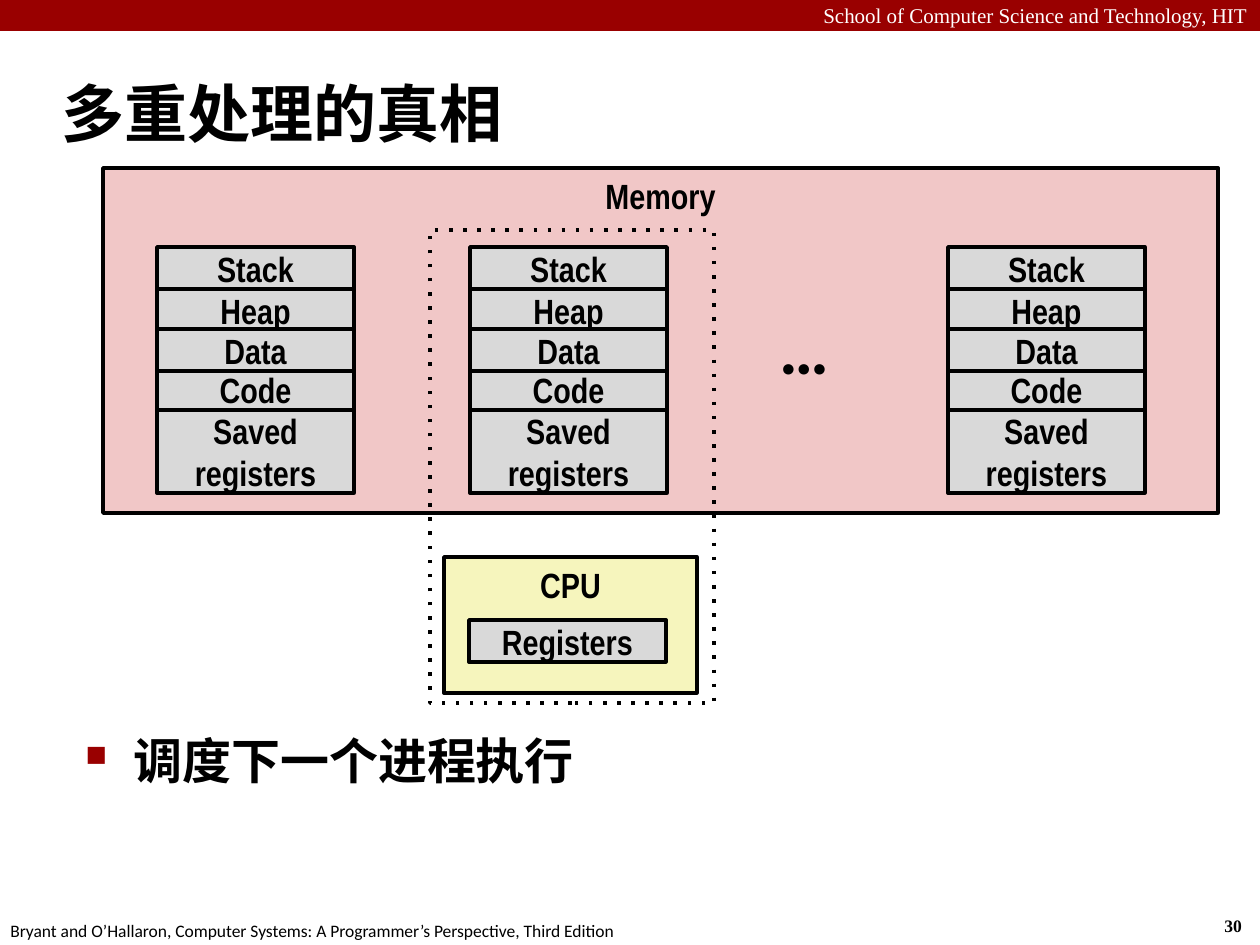
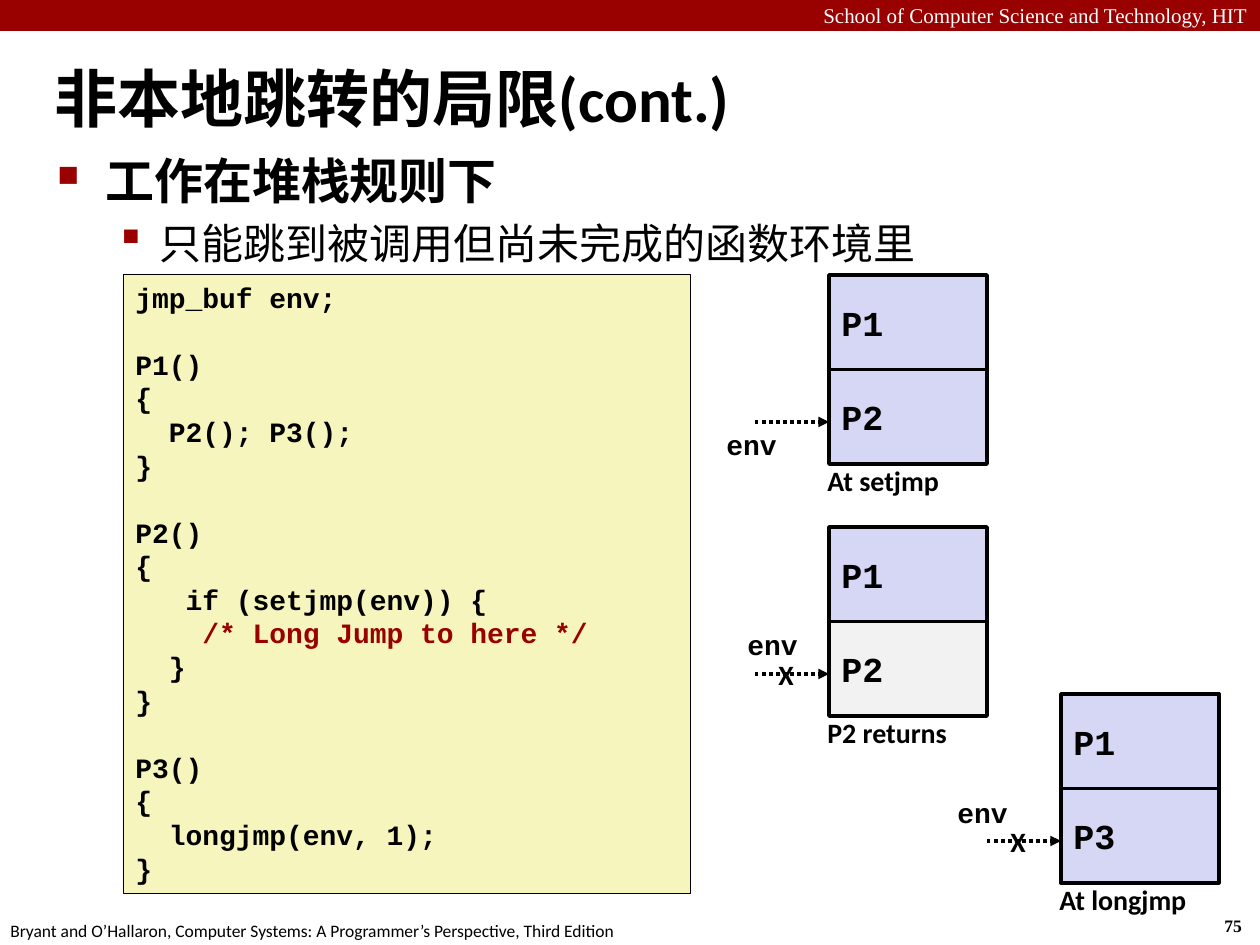
from lxml import etree
from pptx import Presentation
from pptx.dml.color import RGBColor
from pptx.enum.lang import MSO_LANGUAGE_ID as Lang
from pptx.enum.shapes import MSO_CONNECTOR, MSO_SHAPE
from pptx.enum.text import MSO_ANCHOR as Anchor, MSO_AUTO_SIZE, PP_ALIGN as Align
from pptx.oxml.ns import qn
from pptx.util import Pt

PX = 914400 / 126
WIDTH, HEIGHT = 1260, 945

BLACK = RGBColor(0, 0, 0)
WHITE = RGBColor(255, 255, 255)
CRIMSON = RGBColor(0x99, 0, 0)
YELLOW = RGBColor(0xF6, 0xF5, 0xBD)
PINK = RGBColor(0xF1, 0xC7, 0xC7)
GRAY = RGBColor(0xD9, 0xD9, 0xD9)
PALE_GRAY = RGBColor(0xF2, 0xF2, 0xF2)
LAVENDER = RGBColor(0xD6, 0xD6, 0xF5)

SERIF, SANS, NARROW, MONO = "Times New Roman", "Calibri", "Arial Narrow", "Courier New"

SCHOOL = "School of Computer Science and Technology, HIT"
BOOK = "Bryant and O’Hallaron, Computer Systems: A Programmer’s Perspective, Third Edition"

MULTIPROCESSING = {
    "title": "多重处理的真相", "title_box": (49, 60, 1169, 105), "page": "30",
    "points": [("调度下一个进程执行", 0)], "points_box": (73, 724, 1176, 73),
}
PROCESS_LEFTS = (157, 470, 948)
# label, top, height; Data overlaps the upper edge of Code
SEGMENTS = [
    ("Stack", 247, 42), ("Heap", 289, 42), ("Code", 368, 42),
    ("Data", 329, 42), ("Saved registers", 410, 83),
]

LONG_JUMPS = {
    "title": "非本地跳转的局限(cont.)", "title_box": (42, 58, 1094, 79), "page": "75",
    "points": [("工作在堆栈规则下", 0), ("只能跳到被调用但尚未完成的函数环境里", 1)],
    "points_box": (45, 144, 1145, 160),
}
CODE = """jmp_buf env;

P1()
{
  P2(); P3();
}

P2()
{
   if (setjmp(env)) {
    /* Long Jump to here */
  }
}

P3()
{
  longjmp(env, 1);
}"""
# caption, left, top, callee, callee fill, env label offset, env is invalid
STACKS = [
    ("At setjmp", 829, 275, "P2", LAVENDER, (-115, 146), False),
    ("P2 returns", 829, 527, "P2", PALE_GRAY, (-94, 94), True),
    ("At longjmp", 1061, 694, "P3", LAVENDER, (-116, 95), True),
]
FRAME_W, FRAME_H = 158, 94.5

# level: size, bold, left margin, hanging indent, Wingdings square, its size in %
LEVELS = [(28, True, 48, 48, "n", 60), (24, False, 102, 39, "§", 110)]


def emu(*lengths):
    return [round(length * PX) for length in lengths]


def style(paragraph, size, font, color=BLACK, bold=True, align=Align.LEFT):
    paragraph.alignment = align
    for run in paragraph.runs:
        run.font.size, run.font.name, run.font.bold = Pt(size), font, bold
        run.font.color.rgb = color


def write(shape, text, size, font, color=BLACK, bold=True, align=Align.LEFT,
          anchor=Anchor.TOP, wrap=True):
    frame = shape.text_frame
    frame.text = text
    frame.word_wrap = wrap
    frame.vertical_anchor = anchor
    for paragraph in frame.paragraphs:
        style(paragraph, size, font, color, bold, align)


def label(slide, box, text, size, font, wrap=False, **look):
    write(slide.shapes.add_textbox(*emu(*box)), text, size, font, wrap=wrap, **look)


def rect(slide, box, fill=None, line=BLACK, line_width=2):
    shape = slide.shapes.add_shape(MSO_SHAPE.RECTANGLE, *emu(*box))
    shape.shadow.inherit = False
    if fill is None:
        shape.fill.background()
    else:
        shape.fill.solid()
        shape.fill.fore_color.rgb = fill
    if line is None:
        shape.line.fill.background()
    else:
        shape.line.color.rgb = line
        shape.line.width = Pt(line_width)
    return shape


def dash(shape, kind):
    """Give the outline a preset dash and return its a:ln element."""
    outline = shape.line._get_or_add_ln()
    etree.SubElement(outline, qn("a:prstDash"), val=kind)
    return outline


def indent(paragraph, margin, hanging):
    properties = paragraph._p.get_or_add_pPr()
    left, back = emu(margin, hanging)
    properties.set("marL", str(left))
    properties.set("indent", str(-back))
    return properties


def add_points(slide, box, points):
    frame = slide.shapes.add_textbox(*emu(*box)).text_frame
    frame.word_wrap = True
    frame.text = "\n".join(text for text, level in points)
    for index, (paragraph, (_, level)) in enumerate(zip(frame.paragraphs, points)):
        size, bold, margin, hanging, bullet, percent = LEVELS[level]
        if index:
            paragraph.space_before = Pt(size * 0.2)
        properties = indent(paragraph, margin, hanging)
        paragraph.level = level
        color = etree.SubElement(properties, qn("a:buClr"))
        etree.SubElement(color, qn("a:srgbClr"), val=str(CRIMSON))
        etree.SubElement(properties, qn("a:buSzPct"), val=str(percent * 1000))
        etree.SubElement(properties, qn("a:buFont"), typeface="Wingdings", charset="2")
        etree.SubElement(properties, qn("a:buChar"), char=bullet)
        style(paragraph, size, SANS, bold=bold)
        paragraph.runs[0].font.language_id = Lang.SIMPLIFIED_CHINESE


def add_slide(deck, content):
    """Add a slide with the band, footers, title and bullet points."""
    slide = deck.slides.add_slide(deck.slide_layouts[5])
    rect(slide, (0, 0, WIDTH, 31), CRIMSON, None)
    label(slide, (0, -4, WIDTH, 38), SCHOOL, 12, SERIF, wrap=True,
          color=WHITE, bold=False, align=Align.RIGHT)
    label(slide, (1212, 909, 47, 34), content["page"], 10, SERIF)
    label(slide, (-2, 914, 640, 34), BOOK, 10, SANS, bold=False)

    title = slide.shapes.title
    title.left, title.top, title.width, title.height = emu(*content["title_box"])
    write(title, content["title"], 36, SANS, anchor=Anchor.MIDDLE)
    title.text_frame.auto_size = MSO_AUTO_SIZE.NONE
    heading = title.text_frame.paragraphs[0]
    indent(heading, 16, 16)
    heading.runs[0].font.language_id = Lang.SIMPLIFIED_CHINESE
    add_points(slide, content["points_box"], content["points"])
    return slide


def draw_multiprocessing(deck):
    slide = add_slide(deck, MULTIPROCESSING)

    def block(box, text, fill=GRAY, anchor=Anchor.MIDDLE):
        write(rect(slide, box, fill), text, 20, NARROW, align=Align.CENTER, anchor=anchor)

    block((444, 557, 253, 136), "CPU", YELLOW, Anchor.TOP)
    block((469, 620, 197, 42), "Registers")
    block((103, 168, 1115, 345), "Memory", PINK, Anchor.TOP)
    dash(rect(slide, (430, 230, 284, 473)), "dot")
    for left in PROCESS_LEFTS:
        for text, top, height in SEGMENTS:
            block((left, top, 197, height), text)
    label(slide, (767, 298, 76, 97), "…", 40, SANS)


def draw_stack(slide, caption, left, top, callee, callee_fill, env_offset, invalid):
    for row, (name, fill) in enumerate([("P1", LAVENDER), (callee, callee_fill)]):
        frame = rect(slide, (left, top + row * FRAME_H, FRAME_W, FRAME_H), fill)
        write(frame, name, 20, MONO, anchor=Anchor.MIDDLE, wrap=False)

    arrow_y = top + 147
    arrow = slide.shapes.add_connector(
        MSO_CONNECTOR.STRAIGHT, *emu(left - 74, arrow_y, left, arrow_y))
    arrow.line.color.rgb = BLACK
    arrow.line.width = Pt(2)
    etree.SubElement(dash(arrow, "sysDot"), qn("a:tailEnd"), type="triangle")
    etree.SubElement(arrow._element.spPr, qn("a:effectLst"))

    env_x, env_y = env_offset
    label(slide, (left + env_x, top + env_y, 76, 47), "env", 16, MONO)
    label(slide, (left - 14, top + 182, 180, 47), caption, 16, SANS)
    if invalid:
        label(slide, (left - 63, top + 124, 42, 47), "X", 16, SANS)


def draw_long_jumps(deck):
    slide = add_slide(deck, LONG_JUMPS)
    listing = rect(slide, (123, 274, 567, 619), YELLOW, line_width=0.25)
    write(listing, CODE, 16, MONO)
    for line in listing.text_frame.paragraphs:
        line.line_spacing = Pt(19.2)
        if "/*" in line.text:
            style(line, 16, MONO, CRIMSON)
    for stack in STACKS:
        draw_stack(slide, *stack)


def main():
    deck = Presentation()
    deck.slide_width, deck.slide_height = emu(WIDTH, HEIGHT)
    draw_multiprocessing(deck)
    draw_long_jumps(deck)
    deck.save("out.pptx")


if __name__ == "__main__":
    main()
